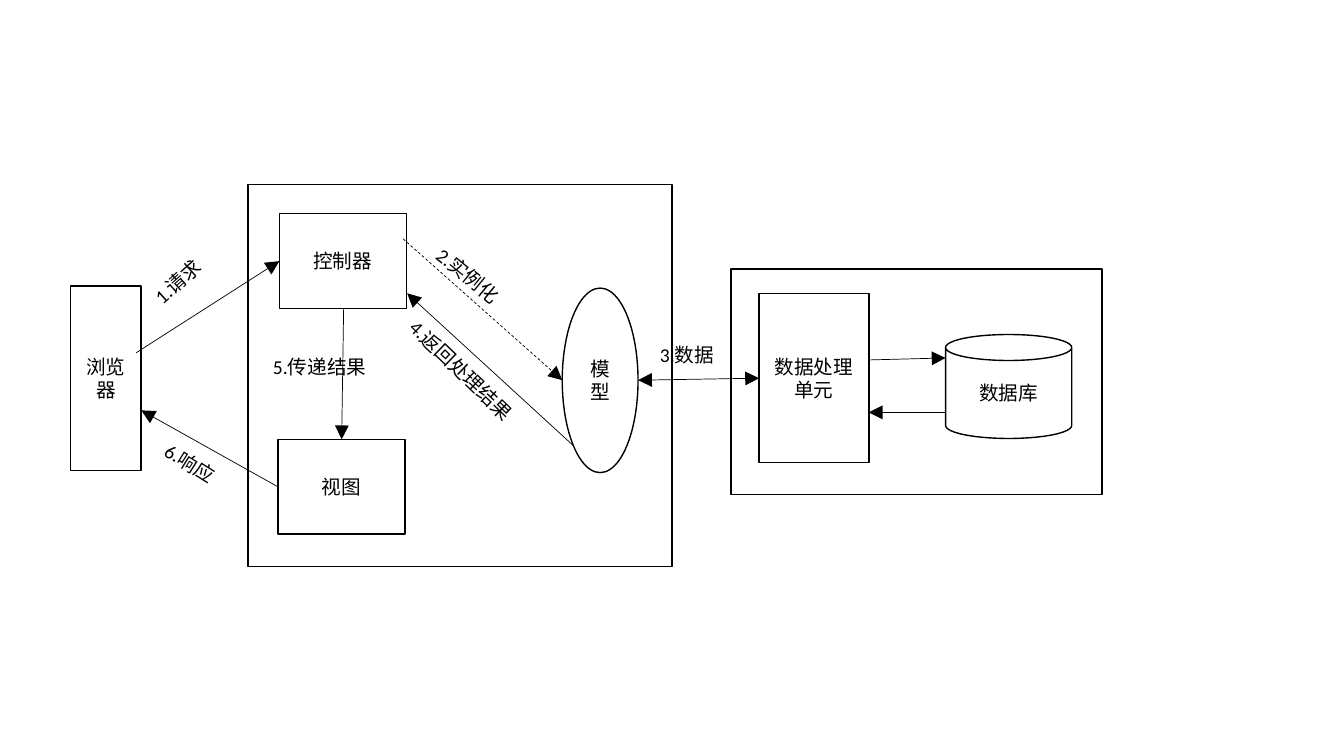
from pptx import Presentation
from pptx.dml.color import RGBColor
from pptx.enum.dml import MSO_LINE_DASH_STYLE as Dash
from pptx.enum.shapes import MSO_CONNECTOR as Connector, MSO_SHAPE as Shape
from pptx.enum.text import MSO_ANCHOR as Anchor, MSO_AUTO_SIZE as AutoSize, PP_ALIGN as Align
from pptx.oxml.ns import qn
from pptx.util import Cm, Pt
from lxml.etree import SubElement

FONT = "Calibri"
BLACK = "000000"
WHITE = "FFFFFF"
LABEL_HEIGHT = 0.86

NODES = [
    ("浏览器", Shape.RECTANGLE, (1.78, 7.21, 1.78, 4.65)),
    ("控制器", Shape.RECTANGLE, (7.04, 5.38, 3.2, 2.39)),
    ("视图", Shape.RECTANGLE, (7.01, 11.07, 3.2, 2.39)),
    ("模型", Shape.OVAL, (14.17, 7.26, 1.91, 4.65)),
    ("数据处理单元", Shape.RECTANGLE, (19.13, 7.39, 2.77, 4.27)),
    ("数据库", Shape.CAN, (23.83, 8.43, 3.18, 2.62)),
]

ARROWS = [
    {"start": (3.43, 8.89), "end": (7.04, 6.58)},
    {"start": (10.16, 6.02), "end": (14.17, 9.58), "dashed": True},
    {"start": (14.45, 11.23), "end": (10.26, 7.39)},
    {"start": (8.66, 7.77), "end": (8.61, 11.07)},
    {"start": (7.01, 12.27), "end": (3.56, 10.34)},
    {"start": (16.08, 9.58), "end": (19.13, 9.53), "both_ways": True},
    {"start": (21.89, 9.07), "end": (23.83, 9.02)},
    {"start": (23.83, 10.39), "end": (21.89, 10.39)},
]

LABELS = [
    ("1.请求", 3.43, 6.35, 2.82, 318.3),
    ("2.实例化", 10.49, 6.86, 3.45, 39.1),
    ("3.数据", 16.38, 8.51, 2.82, 0),
    ("4.返回处理结果", 9.53, 9.32, 5.05, 43.9),
    ("5.传递结果", 6.63, 8.81, 3.86, 0),
    ("6.响应", 3.73, 11.66, 3.45, 32),
]

FRAMES = [(6.25, 4.65, 10.69, 9.63), (18.42, 6.78, 9.35, 5.69)]


def color(value):
    return RGBColor.from_string(value)


def write(box, text, align=Align.LEFT, anchor=Anchor.TOP, size=14, ink=BLACK):
    frame = box.text_frame
    frame.word_wrap = True
    frame.vertical_anchor = anchor
    para = frame.paragraphs[0]
    para.alignment = align
    span = para.add_run()
    span.text = text
    span.font.name = FONT
    span.font.size = Pt(size)
    span.font.color.rgb = color(ink)


def outline(item, width):
    item.line.color.rgb = color(BLACK)
    item.line.width = Pt(width)


def add_box(page, kind, place, fill=None):
    box = page.shapes.add_shape(kind, *map(Cm, place))
    box.shadow.inherit = False
    if fill:
        box.fill.solid()
        box.fill.fore_color.rgb = color(fill)
    else:
        box.fill.background()
    outline(box, 1)
    return box


def add_arrow(page, start, end, dashed=False, both_ways=False):
    arrow = page.shapes.add_connector(Connector.STRAIGHT, *map(Cm, start + end))
    outline(arrow, 0.5)
    if dashed:
        arrow.line.dash_style = Dash.DASH
    properties = arrow._element.spPr
    line = properties.find(qn("a:ln"))
    for tip in ("a:headEnd", "a:tailEnd") if both_ways else ("a:tailEnd",):
        SubElement(line, qn(tip), type="triangle", w="lg", len="lg")
    SubElement(properties, qn("a:effectLst"))


def add_label(page, text, left, top, width, angle):
    label = page.shapes.add_textbox(*map(Cm, (left, top, width, LABEL_HEIGHT)))
    label.rotation = angle
    write(label, text)
    label.text_frame.auto_size = AutoSize.SHAPE_TO_FIT_TEXT


def main():
    deck = Presentation()
    deck.slide_width, deck.slide_height = Cm(33.87), Cm(19.05)
    page = deck.slides.add_slide(deck.slide_layouts[6])
    for text, kind, place in NODES:
        write(add_box(page, kind, place, fill=WHITE), text,
              align=Align.CENTER, anchor=Anchor.MIDDLE)
    for arrow in ARROWS:
        add_arrow(page, **arrow)
    for label in LABELS:
        add_label(page, *label)
    for place in FRAMES:
        add_box(page, Shape.RECTANGLE, place)
    deck.save("out.pptx")


if __name__ == "__main__":
    main()
